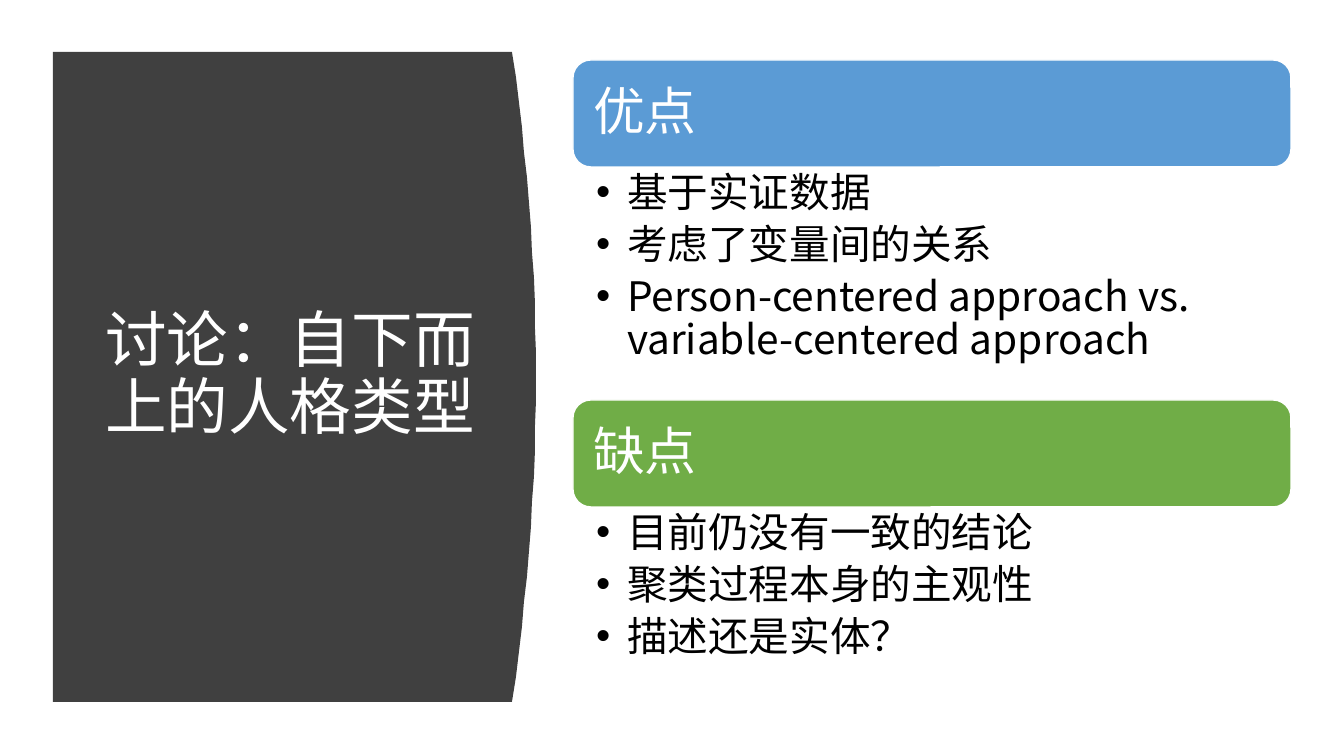
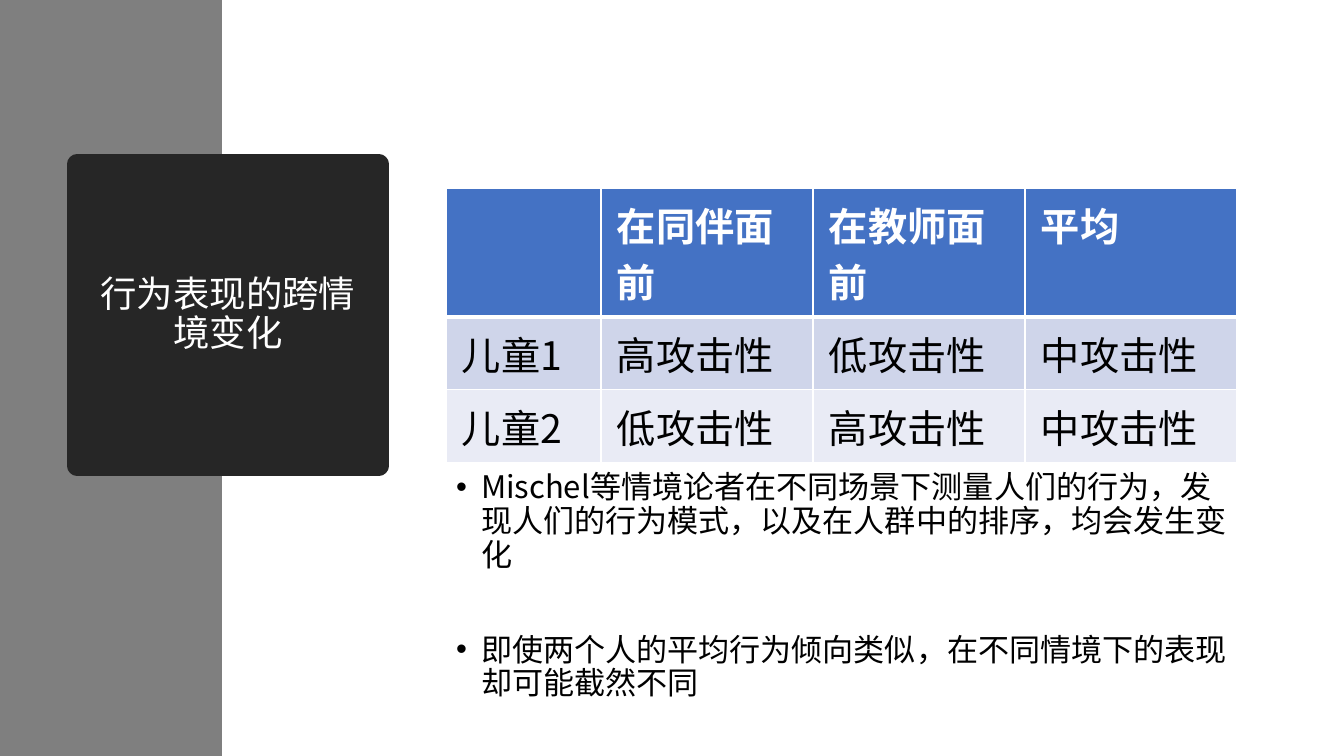
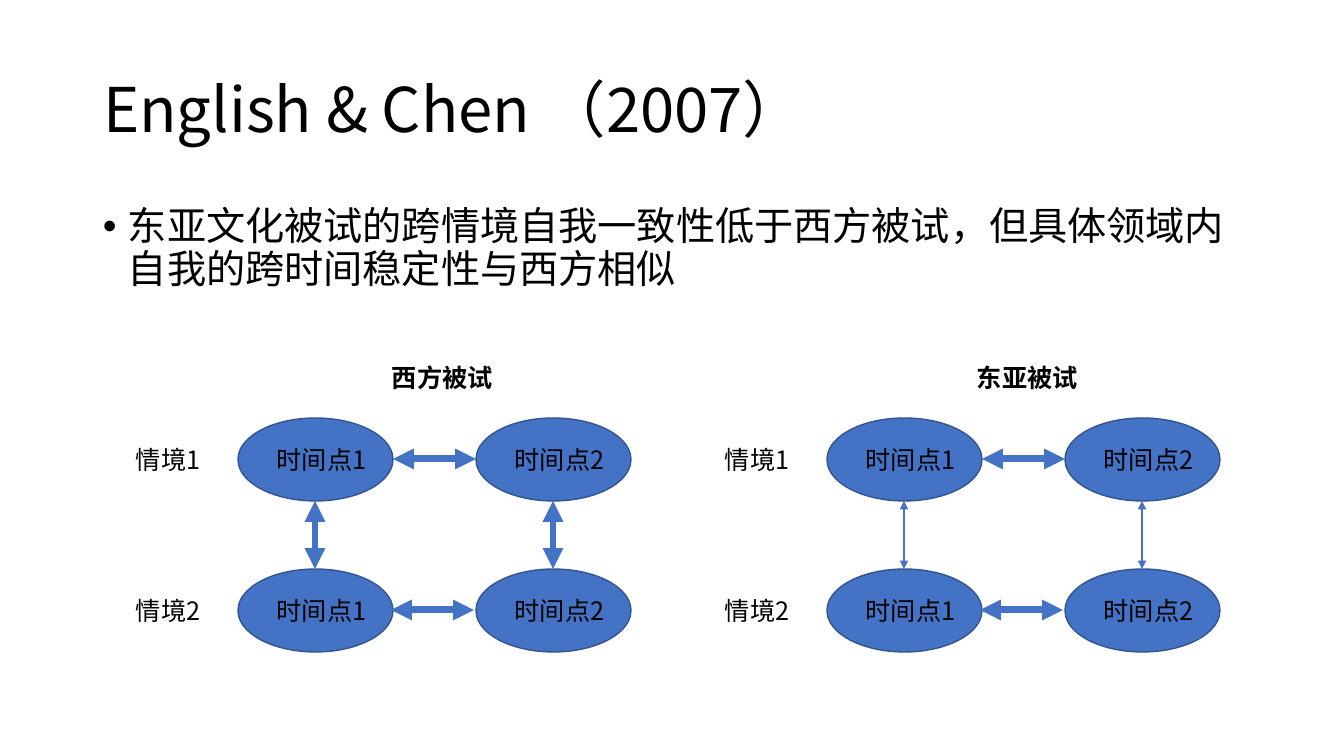
import lxml.etree
import pptx
import pptx.dml.color
import pptx.enum.shapes
import pptx.enum.text
import pptx.oxml.ns
import pptx.util

PX = 9071
FONT = "Noto Sans CJK SC"
WHITE, BLACK, BLUE = "FFFFFF", "000000", "4472C4"

Pt = pptx.util.Pt
color = pptx.dml.color.RGBColor.from_string
qn = pptx.oxml.ns.qn
SHAPE = pptx.enum.shapes.MSO_SHAPE
ALIGN = pptx.enum.text.PP_ALIGN
ANCHOR = pptx.enum.text.MSO_ANCHOR


def write(paragraph, text, size, hue, bold=False):
    run = paragraph.add_run()
    run.text = text
    run.font.size = Pt(size)
    run.font.bold = bold
    run.font.name = FONT
    run.font.color.rgb = color(hue)
    lxml.etree.SubElement(run.font._element, qn("a:ea"), typeface=FONT)


def paint(shape, fill, outline=None, width=1):
    shape.shadow.inherit = False
    shape.fill.solid()
    shape.fill.fore_color.rgb = color(fill)
    if outline:
        shape.line.color.rgb = color(outline)
        shape.line.width = Pt(width)
    else:
        shape.line.fill.background()


prs = pptx.Presentation()
prs.slide_width = 1344 * PX
prs.slide_height = 756 * PX

titles = [
    (3, "讨论：自下而上的人格类型", 44, WHITE, ALIGN.LEFT, (95, 112, 395, 528)),
    (1, "行为表现的跨情境变化", 26, WHITE, ALIGN.CENTER, (77, 164, 302, 302)),
    (1, "English & Chen （2007）", 44, BLACK, ALIGN.LEFT, (93, 40, 1159, 146)),
]
for layout, text, size, hue, align, frame in titles:
    slide = prs.slides.add_slide(prs.slide_layouts[layout])
    title = slide.shapes.title
    title.left, title.top, title.width, title.height = [n * PX for n in frame]
    title.text_frame.auto_size = pptx.enum.text.MSO_AUTO_SIZE.NONE
    title.text_frame.vertical_anchor = ANCHOR.MIDDLE
    heading = title.text_frame.paragraphs[0]
    heading.alignment = align
    heading.line_spacing = 0.9
    write(heading, text, size, hue)

lists = [
    (0, 1, (573, 167, 718, 232), 29, 31, 5.8, (23, 29),
     ["基于实证数据", "考虑了变量间的关系",
      "Person-centered approach vs. variable-centered approach"]),
    (0, 2, (573, 507, 718, 185), 29, 31, 5.8, (23, 29),
     ["目前仍没有一致的结论", "聚类过程本身的主观性", "描述还是实体？"]),
    (1, 1, (446, 467, 792, 215), 22.2, 25, 44, (10, 10),
     ["Mischel等情境论者在不同场景下测量人们的行为，发现人们的行为模式，以及在人群中的排序，均会发生变化",
      "即使两个人的平均行为倾向类似，在不同情境下的表现却可能截然不同"]),
    (2, 1, (93, 202, 1159, 480), 28, 25, 0, (10, 10),
     ["东亚文化被试的跨情境自我一致性低于西方被试，但具体领域内自我的跨时间稳定性与西方相似"]),
]
for page, slot, frame, size, indent, gap, insets, points in lists:
    body = prs.slides[page].placeholders[slot]
    body.left, body.top, body.width, body.height = [n * PX for n in frame]
    body_text = body.text_frame
    body_text.auto_size = pptx.enum.text.MSO_AUTO_SIZE.NONE
    body_text.margin_left, body_text.margin_right = [n * PX for n in insets]
    for number, point in enumerate(points):
        item = body_text.add_paragraph() if number else body_text.paragraphs[0]
        properties = item._p.get_or_add_pPr()
        properties.set("marL", str(indent * PX))
        properties.set("indent", str(-indent * PX))
        item.line_spacing = 0.9
        item.space_before = Pt(gap if number else 0)
        write(item, point, size, BLACK)

discussion, situations, cultures = prs.slides

top, bottom, edge, bulge = 52, 702, 512, 24
middle, half = (top + bottom) / 2, (bottom - top) / 2
arc = [(edge + bulge * (1 - ((y - middle) / half) ** 2), y)
       for y in range(top, bottom + 1, 25)]
outline = discussion.shapes.build_freeform(53, top, scale=PX)
outline.add_line_segments(arc + [(53, bottom)], close=True)
panel = outline.convert_to_shape()
paint(panel, "404040")
discussion.shapes.title.element.addprevious(panel.element)

for row, (verdict, hue) in enumerate([("优点", "5B9BD5"), ("缺点", "70AD47")]):
    banner = discussion.shapes.add_shape(
        SHAPE.ROUNDED_RECTANGLE, 573 * PX, (60 + 340 * row) * PX, 718 * PX, 107 * PX)
    paint(banner, hue, WHITE)
    banner.text_frame.margin_left = 15 * PX
    banner.text_frame.vertical_anchor = ANCHOR.MIDDLE
    label = banner.text_frame.paragraphs[0]
    label.alignment = ALIGN.LEFT
    label.line_spacing = 0.9
    write(label, verdict, 37, WHITE)

side_band = situations.shapes.add_shape(SHAPE.RECTANGLE, 0, 0, 222 * PX, 756 * PX)
paint(side_band, "7F7F7F")
situations.shapes.title.element.addprevious(side_band.element)
title_card = situations.shapes.title
title_card.fill.solid()
title_card.fill.fore_color.rgb = color("262626")
title_card.line.color.rgb = color("262626")
title_card.line.width = Pt(13.75)

behaviors = [
    ["", "在同伴面前", "在教师面前", "平均"],
    ["儿童1", "高攻击性", "低攻击性", "中攻击性"],
    ["儿童2", "低攻击性", "高攻击性", "中攻击性"],
]
comparison = situations.shapes.add_table(
    3, 4, 446 * PX, 188 * PX, 791 * PX, 255 * PX).table
for column, width in zip(comparison.columns, [155, 212, 212, 212]):
    column.width = width * PX
for row, height in enumerate([117, 69, 69]):
    comparison.rows[row].height = height * PX
    for column, text in enumerate(behaviors[row]):
        cell = comparison.cell(row, column)
        cell.margin_left = cell.margin_right = 16 * PX
        cell.margin_top = cell.margin_bottom = 8 * PX
        for side in ["lnL", "lnR", "lnT", "lnB"]:
            thick = (row, side) in [(0, "lnB"), (1, "lnT")]
            border = lxml.etree.SubElement(
                cell._tc.get_or_add_tcPr(), qn("a:" + side), w=str(Pt(3 if thick else 1)))
            border_fill = lxml.etree.SubElement(border, qn("a:solidFill"))
            lxml.etree.SubElement(border_fill, qn("a:srgbClr"), val=WHITE)
        cell.fill.solid()
        cell.fill.fore_color.rgb = color([BLUE, "CFD5EA", "E9EBF5"][row])
        if text:
            write(cell.text_frame.paragraphs[0], text, 28,
                  BLACK if row else WHITE, bold=row == 0)

OVAL_W, OVAL_H, STEP_X, STEP_Y, FIRST_Y = 155, 83, 238, 151, 418
groups = [("西方被试", 238, 382, 5), ("东亚被试", 827, 967, 2)]
for group, left, group_left, cross_width in groups:
    captions = [(group, group_left, 357, 170, True)]
    arrows = []
    for row in range(2):
        y = FIRST_Y + STEP_Y * row
        center_y = y + OVAL_H // 2
        captions.append((f"情境{row + 1}", left - 112, y + 21, 118, False))
        shift = -2 * row
        arrows.append((left + STEP_X + shift, center_y,
                       left + OVAL_W + shift, center_y, 5))
        for column in range(2):
            x = left + STEP_X * column
            moment = cultures.shapes.add_shape(
                SHAPE.OVAL, x * PX, y * PX, OVAL_W * PX, OVAL_H * PX)
            paint(moment, BLUE, "325491")
            moment_text = moment.text_frame
            moment_text.word_wrap = False
            moment_text.margin_left, moment_text.margin_right = 12 * PX, 0
            moment_text.vertical_anchor = ANCHOR.MIDDLE
            moment_text.paragraphs[0].alignment = ALIGN.CENTER
            write(moment_text.paragraphs[0], f"时间点{column + 1}", 18, BLACK)
    for column in range(2):
        center_x = left + STEP_X * column + OVAL_W // 2
        arrows.append((center_x, FIRST_Y + OVAL_H,
                       center_x, FIRST_Y + STEP_Y, cross_width))
    for text, x, y, width, bold in captions:
        caption = cultures.shapes.add_textbox(x * PX, y * PX, width * PX, 40 * PX)
        caption.text_frame.word_wrap = True
        write(caption.text_frame.paragraphs[0], text, 18, BLACK, bold)
    for *ends, width in arrows:
        arrow = cultures.shapes.add_connector(
            pptx.enum.shapes.MSO_CONNECTOR.STRAIGHT, *[n * PX for n in ends])
        arrow.line.color.rgb = color(BLUE)
        arrow.line.width = Pt(width)
        properties = arrow.element.spPr
        for tip in ["headEnd", "tailEnd"]:
            lxml.etree.SubElement(properties.find(qn("a:ln")), qn("a:" + tip), type="triangle")
        lxml.etree.SubElement(properties, qn("a:effectLst"))

prs.save("out.pptx")
